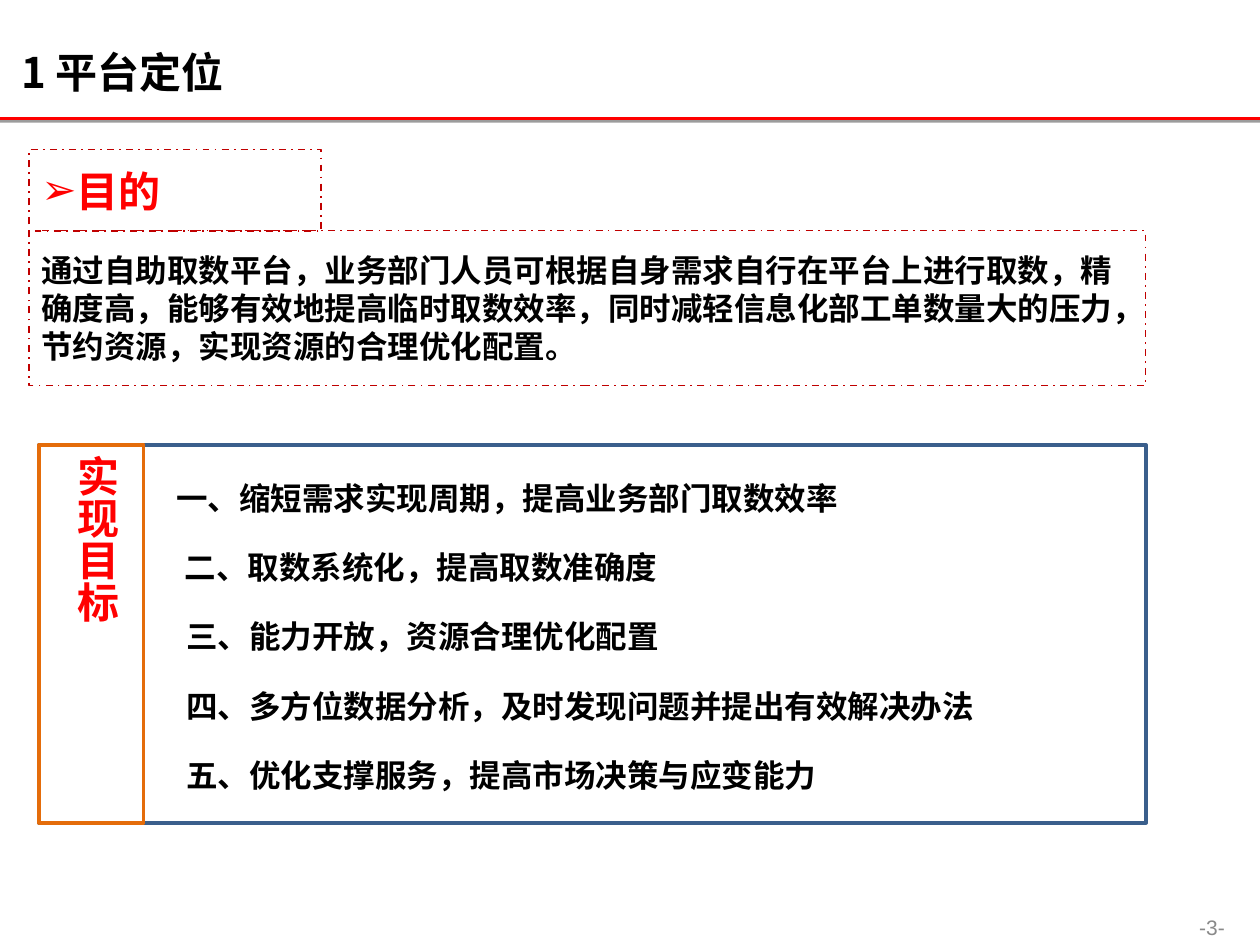
import pptx
import pptx.dml.color
import pptx.enum.dml
import pptx.enum.shapes
import pptx.enum.text
import pptx.oxml
import pptx.oxml.ns
import pptx.util

Pt = pptx.util.Pt
RGBColor = pptx.dml.color.RGBColor
ALIGN = pptx.enum.text.PP_ALIGN
ANCHOR = pptx.enum.text.MSO_ANCHOR
DASH_DOT = pptx.enum.dml.MSO_LINE.DASH_DOT

WHITE = RGBColor(0xFF, 0xFF, 0xFF)
BLACK = RGBColor(0x00, 0x00, 0x00)
RED = RGBColor(0xFF, 0x00, 0x00)
DARK_RED = RGBColor(0xC0, 0x00, 0x00)
BLUE = RGBColor(0x3A, 0x5F, 0x8C)
ORANGE = RGBColor(0xE4, 0x6C, 0x0A)
GREY = RGBColor(0x89, 0x89, 0x89)

NAMESPACE = pptx.oxml.ns.nsdecls("a")
RULE_SHADOW = (
    f'<a:effectLst {NAMESPACE}><a:outerShdw dist="20320" dir="5400000">'
    '<a:srgbClr val="000000"><a:alpha val="38000"/></a:srgbClr>'
    "</a:outerShdw></a:effectLst>"
)


class PageBuilder:
    font = "Noto Sans CJK SC"
    heading_size = 24
    text_size = 18

    def __init__(self, page):
        self.page = page

    def set_text(self, box, text, size, color=BLACK, bold=True, font=None,
                 align=ALIGN.LEFT, anchor=ANCHOR.TOP):
        frame = box.text_frame
        frame.word_wrap = True
        frame.auto_size = pptx.enum.text.MSO_AUTO_SIZE.NONE
        frame.vertical_anchor = anchor
        frame.margin_left = frame.margin_right = Pt(7.2)
        frame.margin_top = frame.margin_bottom = Pt(3.6)
        para = frame.paragraphs[0]
        para.alignment = align
        span = para.add_run()
        span.text = text
        span.font.name = font or self.font
        span.font.size = Pt(size)
        span.font.bold = bold
        span.font.color.rgb = color
        east_asian = pptx.oxml.parse_xml(
            f'<a:ea {NAMESPACE} typeface="{font or self.font}"/>')
        span.font._element.find(pptx.oxml.ns.qn("a:latin")).addnext(east_asian)
        return para

    def title(self, text, left, top, width, height):
        box = self.page.shapes.title
        box.left, box.top, box.width, box.height = map(Pt, (left, top, width, height))
        self.set_text(box, text, self.heading_size, anchor=ANCHOR.MIDDLE)

    def label(self, text, left, top, width, height, size=text_size, **style):
        box = self.page.shapes.add_textbox(*map(Pt, (left, top, width, height)))
        self.set_text(box, text, size, **style)
        return box

    def vertical_label(self, text, left, top, width, height, color):
        box = self.label(text, left, top, width, height, self.heading_size, color=color)
        box.text_frame._txBody.bodyPr.set("vert", "eaVert")

    def outline(self, left, top, width, height, color, weight, dash=None):
        box = self.page.shapes.add_shape(
            pptx.enum.shapes.MSO_SHAPE.RECTANGLE, *map(Pt, (left, top, width, height)))
        box.shadow.inherit = False
        box.fill.background()
        box.line.color.rgb = color
        box.line.width = Pt(weight)
        if dash is not None:
            box.line.dash_style = dash
        return box

    def rule(self, left, right, y, color):
        line = self.page.shapes.add_connector(
            pptx.enum.shapes.MSO_CONNECTOR.STRAIGHT, Pt(left), Pt(y), Pt(right), Pt(y))
        line.line.color.rgb = color
        line.line.width = Pt(1.5)
        line._element.spPr.append(pptx.oxml.parse_xml(RULE_SHADOW))

    def bullet(self, para, symbol, color):
        """Set the bullet directly before the text, without a hanging indent."""
        properties = para._p.get_or_add_pPr()
        properties.set("marL", "0")
        properties.set("indent", "0")
        for xml in (
            f'<a:buClr {NAMESPACE}><a:srgbClr val="{color}"/></a:buClr>',
            f'<a:buFont {NAMESPACE} typeface="Arial"/>',
            f'<a:buChar {NAMESPACE} char="{symbol}"/>',
        ):
            properties.append(pptx.oxml.parse_xml(xml))


def main():
    deck = pptx.Presentation()
    deck.slide_width, deck.slide_height = Pt(720), Pt(540)
    page = deck.slides.add_slide(deck.slide_layouts[5])
    page.background.fill.solid()
    page.background.fill.fore_color.rgb = WHITE
    builder = PageBuilder(page)

    builder.rule(0, 720, 67.7, RED)
    builder.title("1 平台定位", 5, 20.9, 687, 40.3)

    purpose = builder.outline(16.6, 131.8, 638, 88.5, DARK_RED, 1, DASH_DOT)
    builder.set_text(
        purpose,
        "通过自助取数平台，业务部门人员可根据自身需求自行在平台上进行取数，"
        "精确度高，能够有效地提高临时取数效率，同时减轻信息化部工单数量大的压力，"
        "节约资源，实现资源的合理优化配置。",
        builder.text_size, anchor=ANCHOR.MIDDLE)
    heading = builder.outline(16.6, 85.5, 167, 46.6, DARK_RED, 1, DASH_DOT)
    para = builder.set_text(heading, "目的", builder.heading_size, RED,
                            anchor=ANCHOR.MIDDLE)
    builder.bullet(para, "➢", RED)

    builder.outline(22.3, 254.2, 632.7, 216, BLUE, 2)
    builder.outline(22.3, 254.2, 59.8, 216, ORANGE, 2)
    builder.vertical_label("实现目标", 29.5, 253.4, 44, 204, RED)
    goals = (
        (93.6, "一、缩短需求实现周期，提高业务部门取数效率"),
        (98.6, "二、取数系统化，提高取数准确度"),
        (99.4, "三、能力开放，资源合理优化配置"),
        (99.4, "四、多方位数据分析，及时发现问题并提出有效解决办法"),
        (99.4, "五、优化支撑服务，提高市场决策与应变能力"),
    )
    for index, (left, goal) in enumerate(goals):
        builder.label(goal, left, 270 + 39.6 * index, 550, 29)

    builder.label("-3-", 666.7, 519, 51.8, 21, 12, color=GREY, bold=False, font="Arial",
                  align=ALIGN.CENTER, anchor=ANCHOR.MIDDLE)
    deck.save("out.pptx")


if __name__ == "__main__":
    main()
